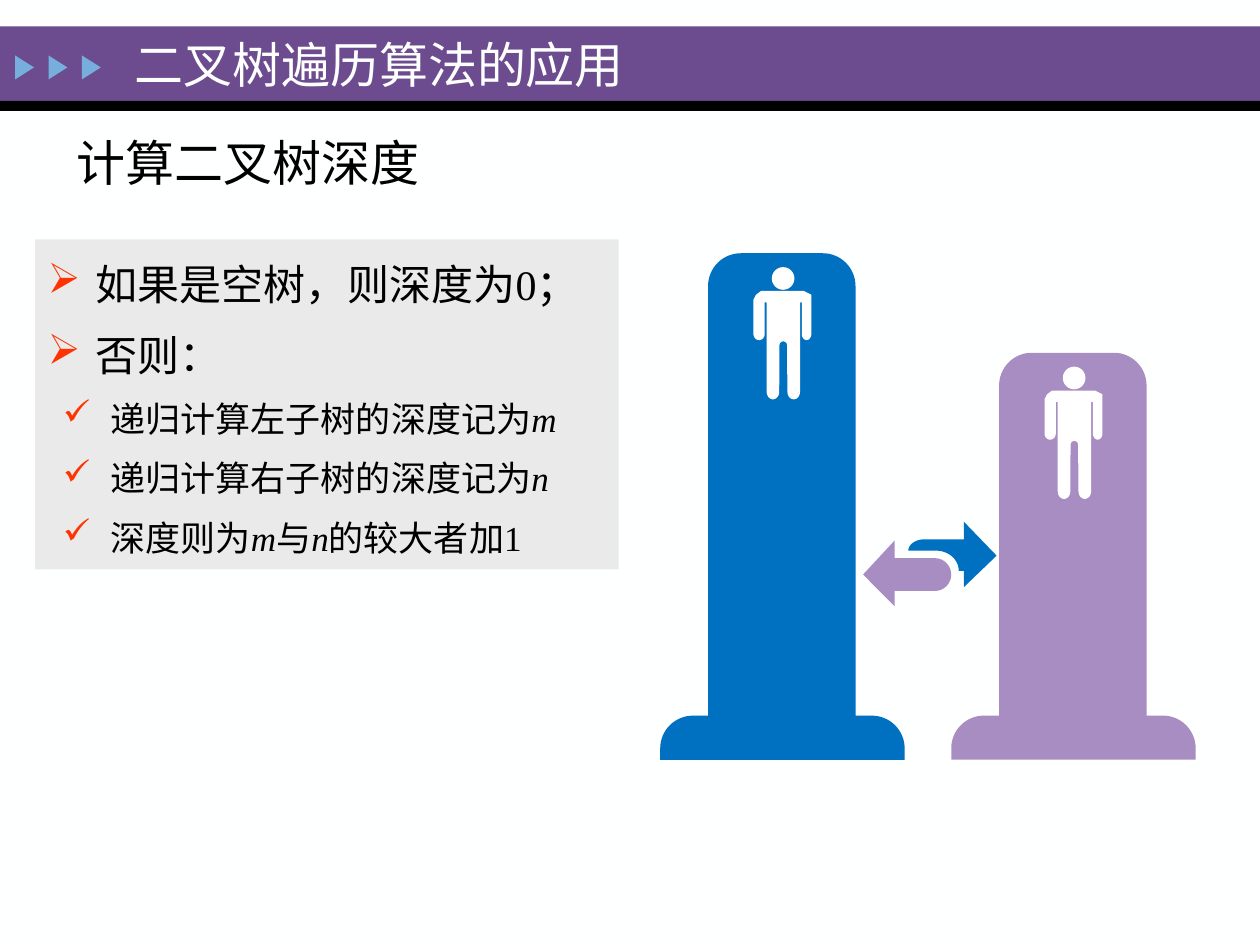
import math

import lxml.etree
import pptx
import pptx.dml.color
import pptx.enum.shapes
import pptx.enum.text
import pptx.oxml.ns
import pptx.util

Inches = pptx.util.Inches
Pt = pptx.util.Pt
PRESET = pptx.enum.shapes.MSO_SHAPE

FONT = "Times New Roman"
PURPLE, BLACK, WHITE = "6C4C8F", "000000", "FFFFFF"
BLUE, LILAC, SKY = "0070C0", "A78DC2", "76AEDD"
GREY, RED, PAPER = "EAEAEA", "FF3300", "FEFFFF"


def color(value):
    return pptx.dml.color.RGBColor.from_string(value)


def paint(shape, fill):
    shape.shadow.inherit = False
    shape.fill.solid()
    shape.fill.fore_color.rgb = color(fill)
    shape.line.fill.background()
    return shape


def add_preset(shapes, preset, left, top, width, height, fill):
    return paint(shapes.add_shape(preset, left, top, width, height), fill)


def add_outline(shapes, left, top, points, fill):
    """Draw a closed outline; points are in inches from (left, top)."""
    corners = [(left + Inches(x), top + Inches(y)) for x, y in points]
    builder = shapes.build_freeform(*corners[0])
    builder.add_line_segments(corners[1:], close=True)
    return paint(builder.convert_to_shape(), fill)


def arc(center_x, center_y, radius_x, radius_y, start, end, steps=16):
    """Points on an ellipse; degrees run clockwise from the right."""
    angles = [math.radians(start + (end - start) * i / steps) for i in range(steps + 1)]
    return [(center_x + radius_x * math.cos(angle), center_y + radius_y * math.sin(angle))
            for angle in angles]


def add_paragraph(frame, *pieces, size, fill=BLACK, spacing=None, before=None):
    """Add a paragraph whose pieces alternate between upright and italic."""
    paragraph = frame.paragraphs[0]
    if paragraph.runs:
        paragraph = frame.add_paragraph()
    paragraph.alignment = pptx.enum.text.PP_ALIGN.LEFT
    paragraph.line_spacing = spacing
    paragraph.space_before = before
    for index, piece in enumerate(pieces):
        run = paragraph.add_run()
        run.text = piece
        run.font.name = FONT
        run.font.size = Pt(size)
        run.font.italic = index % 2 == 1
        run.font.color.rgb = color(fill)
    return paragraph


def add_bullet(paragraph, character, margin):
    properties = paragraph._p.get_or_add_pPr()
    properties.set("marL", str(margin))
    properties.set("indent", str(-Inches(0.38)))
    qualify = pptx.oxml.ns.qn
    bullet_color = lxml.etree.SubElement(properties, qualify("a:buClr"))
    lxml.etree.SubElement(bullet_color, qualify("a:srgbClr")).set("val", RED)
    lxml.etree.SubElement(properties, qualify("a:buChar")).set("char", character)


def add_heading(slide, text, left, top, width, height, **text_format):
    frame = slide.shapes.add_textbox(left, top, width, height).text_frame
    frame.word_wrap = True
    frame.vertical_anchor = pptx.enum.text.MSO_ANCHOR.MIDDLE
    add_paragraph(frame, text, size=28, **text_format)


def add_banner(slide, left, top, width):
    add_preset(slide.shapes, PRESET.RECTANGLE, left, top, width, Inches(0.59), PURPLE)
    add_preset(slide.shapes, PRESET.RECTANGLE, left, top + Inches(0.59), width,
               Inches(0.08), BLACK)
    markers = slide.shapes.add_group_shape().shapes
    for index in range(3):
        triangle = add_preset(markers, PRESET.ISOSCELES_TRIANGLE,
                              left + Inches(0.1 + 0.265 * index), top + Inches(0.25),
                              Inches(0.19), Inches(0.15), SKY)
        triangle.rotation = 90
    add_heading(slide, "二叉树遍历算法的应用", left + Inches(0.97), top + Inches(0.02),
                Inches(7.27), Inches(0.56), fill=PAPER)


def add_rules_panel(slide, left, top, width, height):
    panel = add_preset(slide.shapes, PRESET.RECTANGLE, left, top, width, height, GREY)
    frame = panel.text_frame
    frame.word_wrap = True
    frame.vertical_anchor = pptx.enum.text.MSO_ANCHOR.TOP
    rules = [
        (0, ["如果是空树，则深度为0；"]),
        (0, ["否则："]),
        (1, ["递归计算左子树的深度记为", "m"]),
        (1, ["递归计算右子树的深度记为", "n"]),
        (1, ["深度则为", "m", "与", "n", "的较大者加1"]),
    ]
    styles = [(24, "➢", Inches(0.38)), (20, "✓", Inches(0.5))]
    for level, pieces in rules:
        size, character, margin = styles[level]
        paragraph = add_paragraph(frame, *pieces, size=size, spacing=1.25,
                                  before=Pt(size * 0.2))
        paragraph.level = level
        add_bullet(paragraph, character, margin)


def add_tower(shapes, left, top, height, fill):
    h = height.inches
    points = [
        (0, h), *arc(0.26, h - 0.09, 0.26, 0.26, 180, 270),
        (0.38, h - 0.35), *arc(0.64, 0.26, 0.26, 0.26, 180, 270),
        *arc(1.29, 0.26, 0.26, 0.26, 270, 360), (1.55, h - 0.35),
        *arc(1.68, h - 0.09, 0.26, 0.26, 270, 360), (1.94, h),
    ]
    add_outline(shapes, left, top, points, fill)


def add_person(shapes, left, top):
    add_preset(shapes, PRESET.OVAL, left + Inches(0.145), top, Inches(0.18), Inches(0.18), WHITE)
    body = [
        (0.06, 0), (0.02, 0.03), (0, 0.07),
        *arc(0.045, 0.34, 0.045, 0.05, 180, 0), (0.09, 0.09), (0.105, 0.09),
        *arc(0.155, 0.8, 0.05, 0.06, 180, 0),
        *arc(0.237, 0.43, 0.03, 0.03, 180, 360),
        *arc(0.32, 0.8, 0.05, 0.06, 180, 0), (0.37, 0.09), (0.385, 0.09),
        *arc(0.422, 0.34, 0.038, 0.05, 180, 0), (0.46, 0.03), (0.4, 0),
    ]
    add_outline(shapes, left, top + Inches(0.19), body, WHITE)


def add_exchange_arrows(shapes, left, top):
    to_left = [(0.25, 0.14), (0.25, 0), (0, 0.27), (0.25, 0.52), (0.25, 0.4),
               *arc(0.57, 0.27, 0.13, 0.13, 90, -90)]
    to_right = [(0.22, 0.23), *arc(0.13, 0.23, 0.13, 0.09, 180, 270),
                (0.44, 0.14), (0.44, 0), (0.7, 0.27), (0.44, 0.52), (0.44, 0.39),
                *arc(0.22, 0.39, 0.18, 0.16, 0, -90)]
    add_outline(shapes, left, top + Inches(0.15), to_left, LILAC)
    add_outline(shapes, left + Inches(0.36), top, to_right, BLUE)


def add_comparison(slide, left, top, height):
    """Two towers on one ground line, with arrows between them."""
    shapes = slide.shapes.add_group_shape().shapes
    towers = [(0, height, BLUE), (2.31, height - Inches(0.79), LILAC)]
    for offset, tower_height, fill in towers:
        tower_left = left + Inches(offset)
        tower_top = top + height - tower_height
        add_tower(shapes, tower_left, tower_top, pptx.util.Emu(tower_height), fill)
        add_person(shapes, tower_left + Inches(0.74), tower_top + Inches(0.11))
    add_exchange_arrows(shapes, left + Inches(1.61), top + Inches(2.13))


def main():
    presentation = pptx.Presentation()
    presentation.slide_width, presentation.slide_height = Inches(10), Inches(7.5)
    slide = presentation.slides.add_slide(presentation.slide_layouts[6])
    slide.background.fill.solid()
    slide.background.fill.fore_color.rgb = color(PAPER)
    add_banner(slide, Inches(0), Inches(0.21), Inches(10))
    add_heading(slide, "计算二叉树深度", Inches(0.51), Inches(0.91), Inches(5.35),
                Inches(0.64), spacing=1.25)
    add_rules_panel(slide, Inches(0.28), Inches(1.9), Inches(4.63), Inches(2.62))
    add_comparison(slide, Inches(5.24), Inches(2.01), Inches(4.02))
    presentation.save("out.pptx")


if __name__ == "__main__":
    main()
